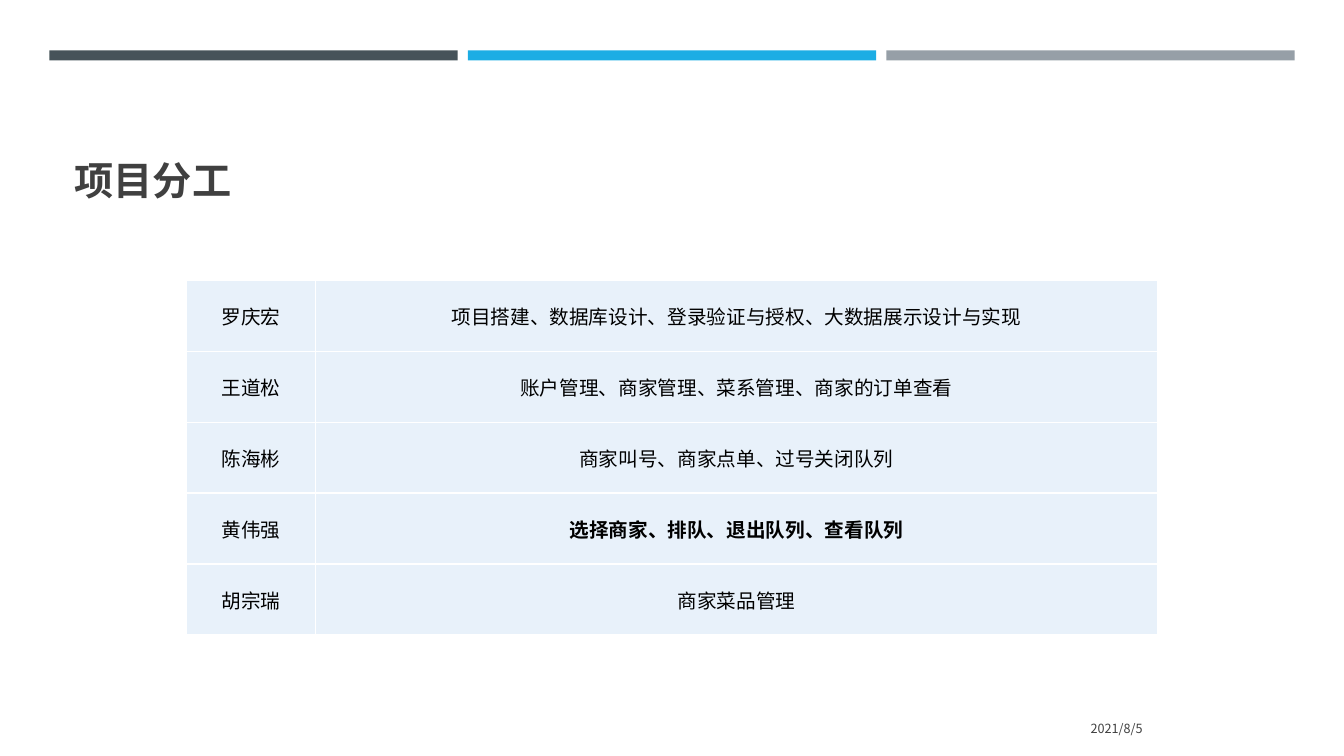
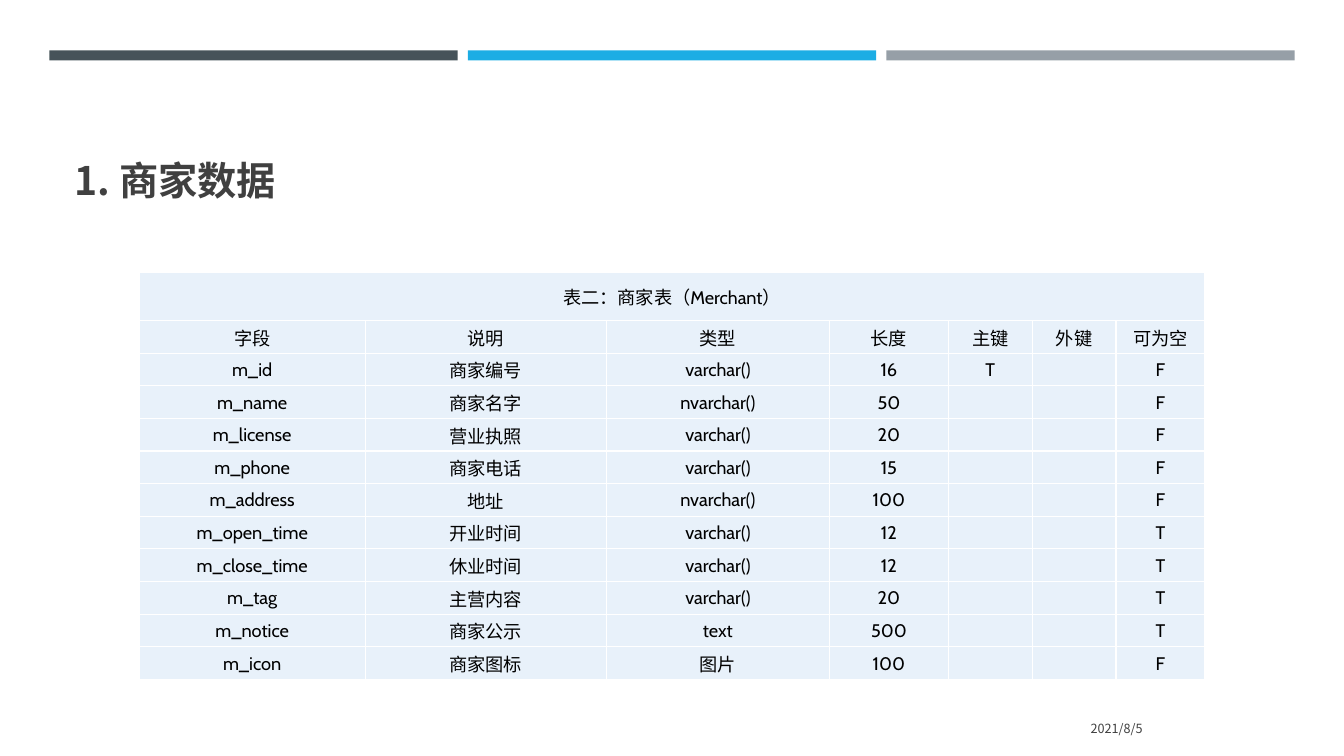
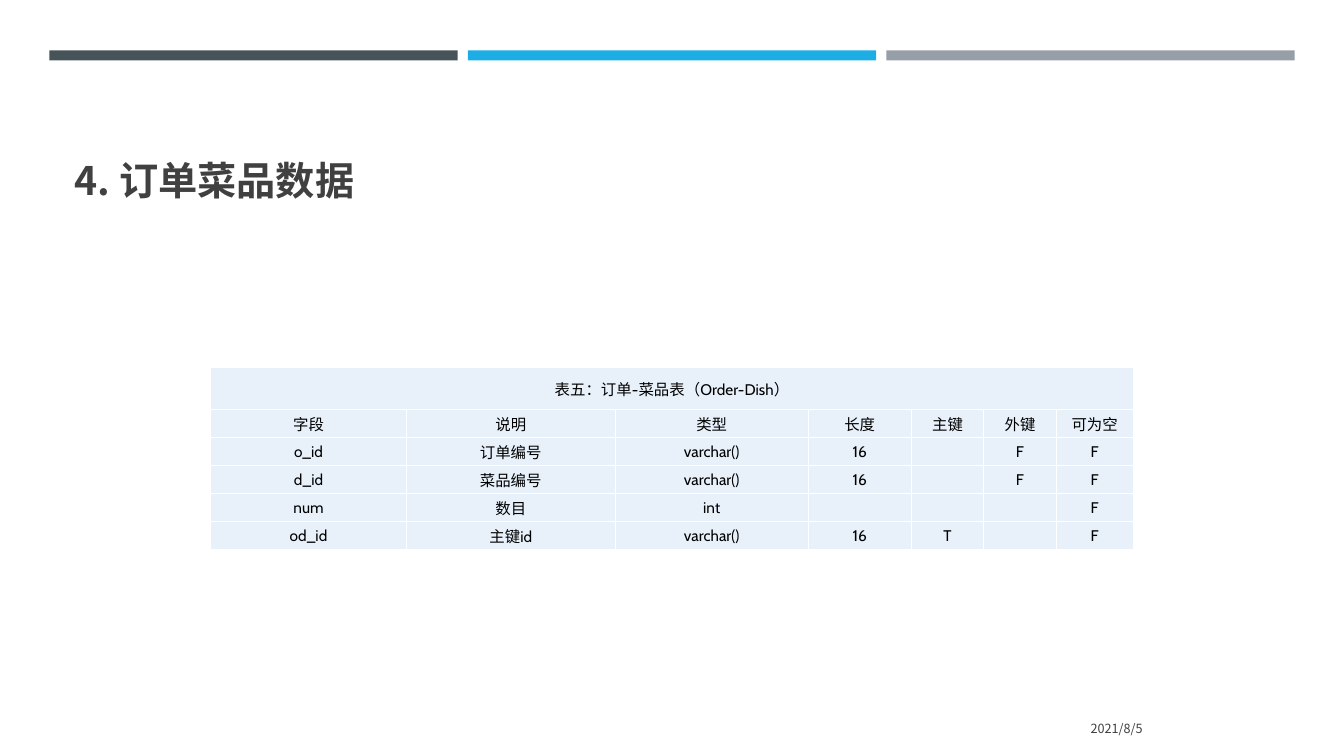
from lxml.etree import SubElement
from pptx import Presentation
from pptx.dml.color import RGBColor
from pptx.enum.shapes import MSO_SHAPE as Preset
from pptx.enum.text import MSO_ANCHOR as Anchor, MSO_AUTO_SIZE as AutoSize, PP_ALIGN as Align
from pptx.oxml.ns import qn
from pptx.util import Inches, Pt

COLORS = {
    "slate": "465359",
    "blue": "1CADE4",
    "gray": "969FA7",
    "text": "404040",
    "black": "000000",
    "cell": "E8F1FA",
    "white": "FFFFFF",
}
CHINESE_FONT = "Noto Sans CJK SC"
LATIN_FONT = "Cabin"
TITLE_BOX = (0.64, 0.77, 12.06, 1.3)
DATE_BOX = (8.32, 7.03, 3.11, 0.4)
BAND_BOX = (0.49, 0.5, 12.35, 0.1)
BAND_GAP = 0.1

DUTIES = [
    ["罗庆宏", "项目搭建、数据库设计、登录验证与授权、大数据展示设计与实现"],
    ["王道松", "账户管理、商家管理、菜系管理、商家的订单查看"],
    ["陈海彬", "商家叫号、商家点单、过号关闭队列"],
    ["黄伟强", "选择商家、排队、退出队列、查看队列"],
    ["胡宗瑞", "商家菜品管理"],
]
BOLD_DUTY = (3, 1)

FIELD_HEADER = ["字段", "说明", "类型", "长度", "主键", "外键", "可为空"]
FIELD_WEIGHTS = [2.24, 2.39, 2.21, 1.18, 0.83, 0.83, 0.88]
MERCHANT_FIELDS = [
    ["m_id", "商家编号", "varchar()", "16", "T", "", "F"],
    ["m_name", "商家名字", "nvarchar()", "50", "", "", "F"],
    ["m_license", "营业执照", "varchar()", "20", "", "", "F"],
    ["m_phone", "商家电话", "varchar()", "15", "", "", "F"],
    ["m_address", "地址", "nvarchar()", "100", "", "", "F"],
    ["m_open_time", "开业时间", "varchar()", "12", "", "", "T"],
    ["m_close_time", "休业时间", "varchar()", "12", "", "", "T"],
    ["m_tag", "主营内容", "varchar()", "20", "", "", "T"],
    ["m_notice", "商家公示", "text", "500", "", "", "T"],
    ["m_icon", "商家图标", "图片", "100", "", "", "F"],
]
ORDER_DISH_FIELDS = [
    ["o_id", "订单编号", "varchar()", "16", "", "F", "F"],
    ["d_id", "菜品编号", "varchar()", "16", "", "F", "F"],
    ["num", "数目", "int", "", "", "", "F"],
    ["od_id", "主键id", "varchar()", "16", "T", "", "F"],
]


def rgb(name):
    return RGBColor.from_string(COLORS[name])


def to_lengths(box):
    return [Inches(value) for value in box]


def place(shape, box):
    shape.left, shape.top, shape.width, shape.height = to_lengths(box)


def add_run(paragraph, text, size, color, font=CHINESE_FONT, bold=False):
    run = paragraph.add_run()
    run.text = text
    run.font.size = Pt(size)
    run.font.name = font
    run.font.bold = bold
    run.font.color.rgb = rgb(color)
    SubElement(run.font._element, qn("a:ea"), typeface=CHINESE_FONT)


def add_bands(slide, box):
    left, top, width, height = box
    names = ["slate", "blue", "gray"]
    band_width = (width - BAND_GAP * (len(names) - 1)) / len(names)
    for index, name in enumerate(names):
        band_left = left + index * (band_width + BAND_GAP)
        band = slide.shapes.add_shape(
            Preset.RECTANGLE, *to_lengths((band_left, top, band_width, height)))
        band.shadow.inherit = False
        band.fill.solid()
        band.fill.fore_color.rgb = rgb(name)
        band.line.fill.background()


def add_title(slide, text, box):
    title = slide.shapes.title
    place(title, box)
    frame = title.text_frame
    frame.vertical_anchor = Anchor.BOTTOM
    frame.auto_size = AutoSize.NONE
    paragraph = frame.paragraphs[0]
    paragraph.alignment = Align.LEFT
    add_run(paragraph, text, 28, "text", bold=True)


def add_date(slide, box):
    frame = slide.shapes.add_textbox(*to_lengths(box)).text_frame
    frame.word_wrap = True
    frame.vertical_anchor = Anchor.MIDDLE
    paragraph = frame.paragraphs[0]
    paragraph.alignment = Align.RIGHT
    add_run(paragraph, "2021/8/5", 9, "text")


def add_base_slide(presentation, title):
    layout = presentation.slide_layouts.get_by_name("Title Only")
    slide = presentation.slides.add_slide(layout)
    add_bands(slide, BAND_BOX)
    add_title(slide, title, TITLE_BOX)
    add_date(slide, DATE_BOX)
    return slide


def add_cell_borders(cell):
    properties = cell._tc.get_or_add_tcPr()
    for side in ("a:lnL", "a:lnR", "a:lnT", "a:lnB"):
        line = SubElement(properties, qn(side), w=str(Pt(1)))
        fill = SubElement(line, qn("a:solidFill"))
        SubElement(fill, qn("a:srgbClr"), val=COLORS["white"])


def fill_cell(cell, text, size, bold):
    add_cell_borders(cell)
    cell.fill.solid()
    cell.fill.fore_color.rgb = rgb("cell")
    cell.vertical_anchor = Anchor.MIDDLE
    cell.margin_left = cell.margin_right = cell.margin_top = Inches(0.01)
    cell.margin_bottom = 0
    paragraph = cell.text_frame.paragraphs[0]
    paragraph.alignment = Align.CENTER
    if text:
        add_run(paragraph, text, size, "black", CHINESE_FONT if bold else LATIN_FONT, bold)
    else:
        # keeps an empty cell from stretching its row
        SubElement(paragraph._p, qn("a:endParaRPr"), sz=str(size * 100))


def add_grid(slide, box, rows, weights, heights, size, bold_cell=None):
    """Add a table whose columns share the box width by weight."""
    table = slide.shapes.add_table(len(rows), len(weights), *to_lengths(box)).table
    table.first_row = table.horz_banding = False
    for column, weight in zip(table.columns, weights):
        column.width = Inches(box[2] * weight / sum(weights))
    for row_index, (row, height) in enumerate(zip(rows, heights)):
        table.rows[row_index].height = Inches(height)
        for column_index, text in enumerate(row):
            fill_cell(table.cell(row_index, column_index), text, size,
                      (row_index, column_index) == bold_cell)
    return table


def add_duty_table(slide, box):
    heights = [box[3] / len(DUTIES)] * len(DUTIES)
    add_grid(slide, box, DUTIES, [1.28, 8.34], heights, 14, BOLD_DUTY)


def add_field_table(slide, box, caption, fields, caption_height, size):
    """Add a field list under a header row and a caption row across all columns."""
    last = len(FIELD_HEADER) - 1
    rows = [[caption] + [""] * last, FIELD_HEADER, *fields]
    row_height = (box[3] - caption_height) / (len(rows) - 1)
    heights = [caption_height] + [row_height] * (len(rows) - 1)
    table = add_grid(slide, box, rows, FIELD_WEIGHTS, heights, size)
    table.cell(0, 0).merge(table.cell(0, last))


def main():
    presentation = Presentation()
    presentation.slide_width = Inches(13.33)
    presentation.slide_height = Inches(7.5)

    duties = add_base_slide(presentation, "项目分工")
    add_duty_table(duties, (1.85, 2.78, 9.63, 3.52))

    merchant = add_base_slide(presentation, "1. 商家数据")
    add_field_table(merchant, (1.38, 2.7, 10.57, 4.04), "表二：商家表（Merchant）",
                    MERCHANT_FIELDS, 0.48, 13)

    order_dish = add_base_slide(presentation, "4. 订单菜品数据")
    add_field_table(order_dish, (2.09, 3.64, 9.15, 1.81), "表五：订单-菜品表（Order-Dish）",
                    ORDER_DISH_FIELDS, 0.42, 11)

    presentation.save("out.pptx")


if __name__ == "__main__":
    main()
